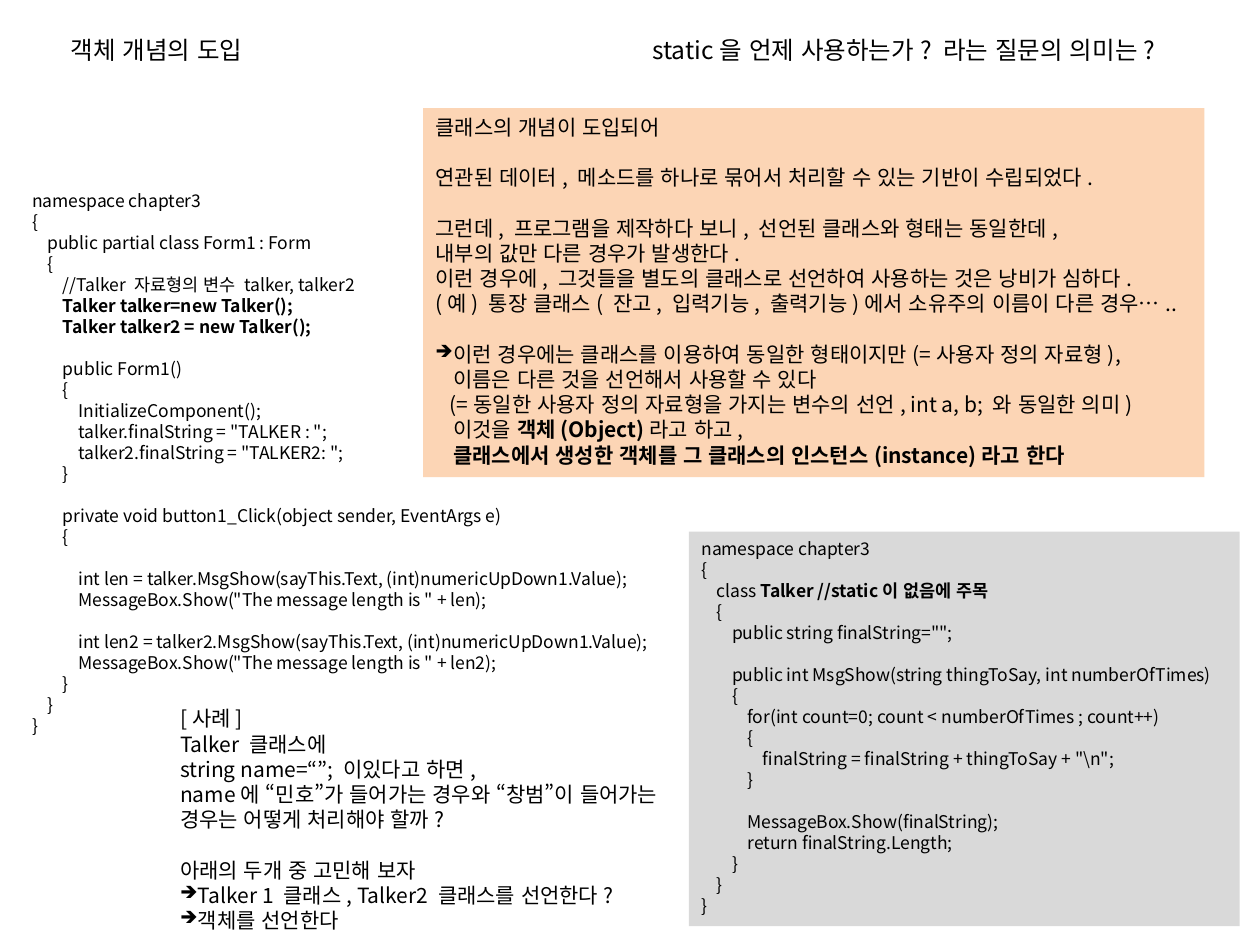
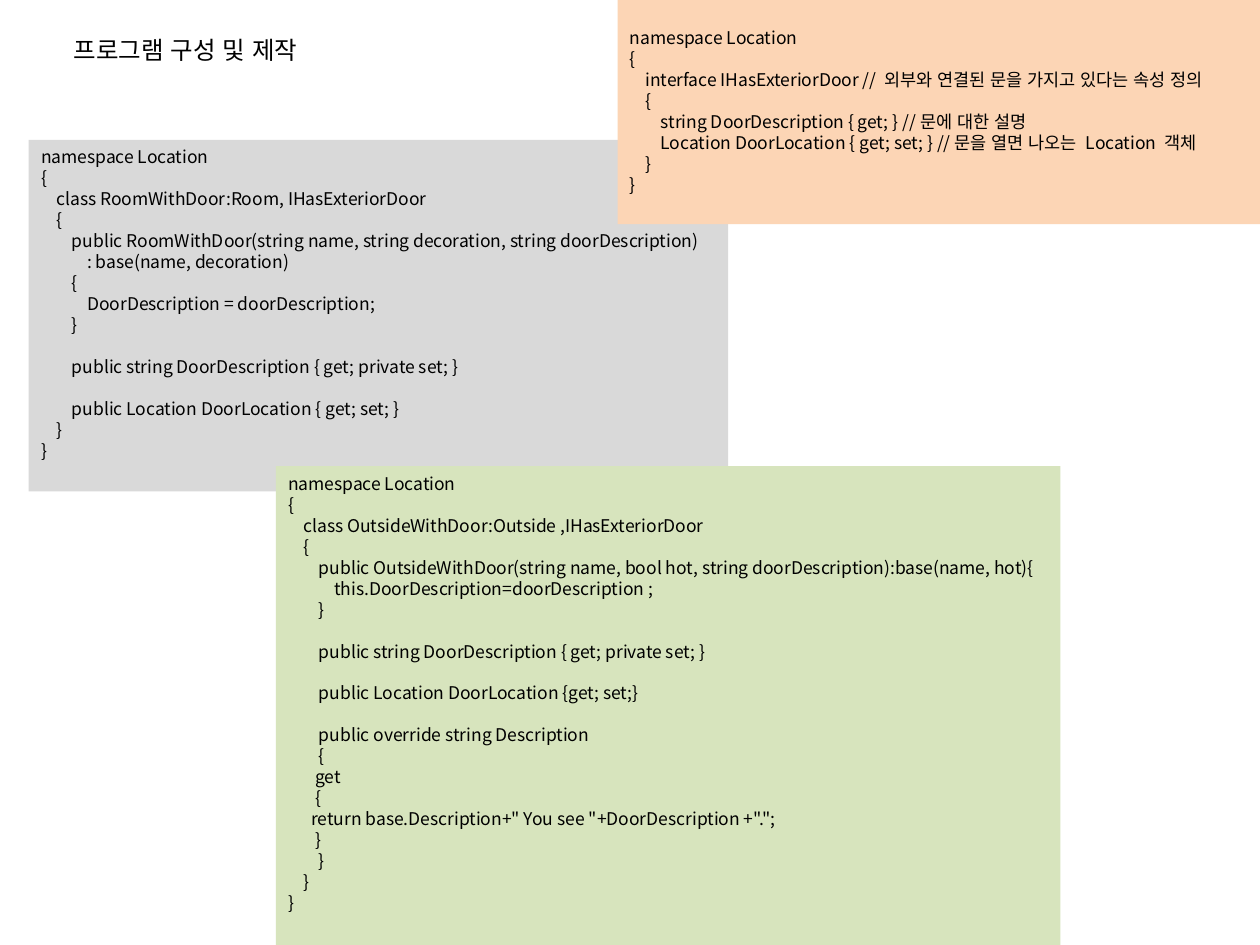
import pptx
import pptx.dml.color
import pptx.enum.lang
import pptx.enum.shapes
import pptx.enum.text
import pptx.oxml.ns
import pptx.util
from lxml import etree

Cm = pptx.util.Cm
Pt = pptx.util.Pt
RGBColor = pptx.dml.color.RGBColor
ALIGN = pptx.enum.text.PP_ALIGN

BLACK = RGBColor(0x00, 0x00, 0x00)
PEACH = RGBColor(0xFC, 0xD5, 0xB5)
GRAY = RGBColor(0xD9, 0xD9, 0xD9)
GREEN = RGBColor(0xD7, 0xE4, 0xBD)

FONT = "Noto Sans CJK KR"
KOREAN = pptx.enum.lang.MSO_LANGUAGE_ID.KOREAN
LINE_FACTOR = 1.2
BULLET = "➔"
BULLET_PERCENT = 80
BOLD = "**"
GAP = None

STYLES = {
    "title": {"size": 14, "step": 0, "align": ALIGN.CENTER, "right": 0.25},
    "question": {"size": 14, "step": 0, "align": ALIGN.LEFT, "right": 0},
    "prose": {"size": 12, "step": 0.36, "align": ALIGN.LEFT, "right": 0},
    "code": {"size": 10, "step": 0.31, "align": ALIGN.LEFT, "right": 0},
}

FRAME_FORMAT = {
    "word_wrap": True,
    "auto_size": pptx.enum.text.MSO_AUTO_SIZE.NONE,
    "vertical_anchor": pptx.enum.text.MSO_ANCHOR.TOP,
    "margin_left": Cm(0.25),
    "margin_top": Cm(0.13),
    "margin_bottom": Cm(0.13),
}

OBJECT_EXPLANATION = [
    (0, "클래스의 개념이 도입되어"),
    GAP,
    (0, "연관된 데이터, 메소드를 하나로 묶어서 처리할 수 있는 기반이 수립되었다."),
    GAP,
    (0, "그런데, 프로그램을 제작하다 보니, 선언된 클래스와 형태는 동일한데,"),
    (0, "내부의 값만 다른 경우가 발생한다."),
    (0, "이런 경우에, 그것들을 별도의 클래스로 선언하여 사용하는 것은 낭비가 심하다."),
    (0, "(예) 통장 클래스( 잔고, 입력기능, 출력기능)에서 소유주의 이름이 다른 경우….."),
    GAP,
    (1, "➔이런 경우에는 클래스를 이용하여 동일한 형태이지만(=사용자 정의 자료형),"),
    (1, "이름은 다른 것을 선언해서 사용할 수 있다"),
    (0.8, "(=동일한 사용자 정의 자료형을 가지는 변수의 선언, int a, b; 와 동일한 의미)"),
    (1, "이것을** 객체(Object)**라고 하고,"),
    (1, "**클래스에서 생성한 객체를 그 클래스의 인스턴스(instance)라고 한다**"),
]

FORM_CODE = [
    (0, "namespace chapter3"),
    (0, "{"),
    (1, "public partial class Form1 : Form"),
    (1, "{"),
    (2, "//Talker 자료형의 변수 talker, talker2"),
    (2, "**Talker talker=new Talker();**"),
    (2, "**Talker talker2 = new Talker();**"),
    GAP,
    (2, "public Form1()"),
    (2, "{"),
    (3, "InitializeComponent();"),
    (3, 'talker.finalString = "TALKER : ";'),
    (3, 'talker2.finalString = "TALKER2: ";'),
    (2, "}"),
    GAP,
    (2, "private void button1_Click(object sender, EventArgs e)"),
    (2, "{"),
    GAP,
    (3, "int len = talker.MsgShow(sayThis.Text, (int)numericUpDown1.Value);"),
    (3, 'MessageBox.Show("The message length is " + len);'),
    GAP,
    (3, "int len2 = talker2.MsgShow(sayThis.Text, (int)numericUpDown1.Value);"),
    (3, 'MessageBox.Show("The message length is " + len2);'),
    (2, "}"),
    (1, "}"),
    (0, "}"),
]

TALKER_CODE = [
    (0, "namespace chapter3"),
    (0, "{"),
    (1, "class **Talker //static이 없음에 주목**"),
    (1, "{"),
    (2, 'public string finalString="";'),
    GAP,
    (2, "public int MsgShow(string thingToSay, int numberOfTimes)"),
    (2, "{"),
    (3, "for(int count=0; count < numberOfTimes ; count++)"),
    (3, "{"),
    (4, 'finalString = finalString + thingToSay + "\\n";'),
    (3, "}"),
    GAP,
    (3, "MessageBox.Show(finalString);"),
    (3, "return finalString.Length;"),
    (2, "}"),
    (1, "}"),
    (0, "}"),
]

NAME_CASE = [
    (0, "[사례]"),
    (0, "Talker 클래스에"),
    (0, "string name=“”; 이있다고 하면,"),
    (0, "name에 “민호”가 들어가는 경우와 “창범”이 들어가는"),
    (0, "경우는 어떻게 처리해야 할까?"),
    GAP,
    (0, "아래의 두개 중 고민해 보자"),
    (1, "➔Talker 1 클래스, Talker2 클래스를 선언한다?"),
    (1, "➔객체를 선언한다"),
]

ROOM_CODE = [
    (0, "namespace Location"),
    (0, "{"),
    (1, "class RoomWithDoor:Room, IHasExteriorDoor"),
    (1, "{"),
    (2, "public RoomWithDoor(string name, string decoration, string doorDescription)"),
    (3, ": base(name, decoration)"),
    (2, "{"),
    (3, "DoorDescription = doorDescription;"),
    (2, "}"),
    GAP,
    (2, "public string DoorDescription { get; private set; }"),
    GAP,
    (2, "public Location DoorLocation { get; set; }"),
    (1, "}"),
    (0, "}"),
]

INTERFACE_CODE = [
    GAP,
    (0, "namespace Location"),
    (0, "{"),
    (1, "interface IHasExteriorDoor // 외부와 연결된 문을 가지고 있다는 속성 정의"),
    (1, "{"),
    (2, "string DoorDescription { get; } //문에 대한 설명"),
    (2, "Location DoorLocation { get; set; } //문을 열면 나오는 Location 객체"),
    (1, "}"),
    (0, "}"),
]

OUTSIDE_CODE = [
    (0, "namespace Location"),
    (0, "{"),
    (1, "class OutsideWithDoor:Outside ,IHasExteriorDoor"),
    (1, "{"),
    (2, "public OutsideWithDoor(string name, bool hot, string doorDescription):base(name, hot){"),
    (3, "this.DoorDescription=doorDescription ;"),
    (2, "}"),
    GAP,
    (2, "public string DoorDescription { get; private set; }"),
    GAP,
    (2, "public Location DoorLocation {get; set;}"),
    GAP,
    (2, "public override string Description"),
    (2, "{"),
    (1.75, "get"),
    (1.75, "{"),
    (1.5, 'return base.Description+" You see "+DoorDescription +".";'),
    (1.75, "}"),
    (2, "}"),
    (1, "}"),
    (0, "}"),
]

SLIDES = [
    [
        ("title", None, (0.99, 0.58, 4.34, 0.86), [(0, "객체 개념의 도입")]),
        ("prose", PEACH, (8.53, 2.18, 15.75, 7.44), OBJECT_EXPLANATION),
        ("code", None, (0.4, 3.71, 14.3, 11.38), FORM_CODE),
        ("code", GRAY, (13.89, 10.72, 11.1, 7.95), TALKER_CODE),
        ("prose", None, (3.38, 14.1, 10.82, 4.88), NAME_CASE),
        ("question", None, (12.9, 0.58, 11.0, 0.86),
         [(0, "static을 언제 사용하는가? 라는 질문의 의미는?")]),
    ],
    [
        ("code", GRAY, (0.58, 2.82, 14.1, 7.09), ROOM_CODE),
        ("title", None, (0.99, 0.58, 5.51, 0.86), [(0, "프로그램 구성 및 제작")]),
        ("code", PEACH, (12.45, 0, 12.95, 4.52), INTERFACE_CODE),
        ("code", GREEN, (5.56, 9.4, 15.82, 9.65), OUTSIDE_CODE),
    ],
]


def set_attributes(target, values):
    for name, value in values.items():
        setattr(target, name, value)


def add_child(parent, tag, name, value):
    etree.SubElement(parent, pptx.oxml.ns.qn(tag)).set(name, value)


def add_runs(paragraph, text, size):
    for index, part in enumerate(text.split(BOLD)):
        if not part:
            continue
        run = paragraph.add_run()
        run.text = part
        set_attributes(run.font, {
            "name": FONT,
            "size": Pt(size),
            "bold": index % 2 == 1,
            "language_id": KOREAN,
        })
        run.font.color.rgb = BLACK
        add_child(run.font._element, "a:ea", "typeface", FONT)


def set_indent(paragraph, indent, bulleted):
    properties = paragraph._p.get_or_add_pPr()
    properties.set("marL", str(Cm(indent)))
    properties.set("indent", str(-Cm(indent) if bulleted else 0))
    if bulleted:
        add_child(properties, "a:buSzPct", "val", str(BULLET_PERCENT * 1000))
        add_child(properties, "a:buChar", "char", BULLET)


def fill_frame(frame, style, lines):
    set_attributes(frame, FRAME_FORMAT)
    frame.margin_right = Cm(style["right"])
    line_height = Pt(style["size"] * LINE_FACTOR)
    paragraph = None
    gap = 0
    for line in lines:
        if line is GAP:
            gap += line_height
            continue
        level, text = line
        if paragraph is None:
            paragraph = frame.paragraphs[0]
            frame.margin_top += gap
            gap = 0
        else:
            paragraph = frame.add_paragraph()
        set_attributes(paragraph, {
            "alignment": style["align"],
            "line_spacing": line_height,
            "space_before": Pt(gap / Pt(1)),
            "space_after": Pt(0),
        })
        set_indent(paragraph, level * style["step"], text.startswith(BULLET))
        add_runs(paragraph, text.removeprefix(BULLET), style["size"])
        gap = 0


def add_block(slide, style_name, color, box, lines):
    place = [Cm(length) for length in box]
    if color is None:
        shape = slide.shapes.add_textbox(*place)
    else:
        shape = slide.shapes.add_shape(pptx.enum.shapes.MSO_SHAPE.RECTANGLE, *place)
        shape.shadow.inherit = False
        shape.fill.solid()
        shape.fill.fore_color.rgb = color
        shape.line.fill.background()
    fill_frame(shape.text_frame, STYLES[style_name], lines)


def main():
    presentation = pptx.Presentation()
    set_attributes(presentation, {"slide_width": Cm(25.4), "slide_height": Cm(19.05)})
    for blocks in SLIDES:
        slide = presentation.slides.add_slide(presentation.slide_layouts[6])
        for block in blocks:
            add_block(slide, *block)
    presentation.save("out.pptx")


if __name__ == "__main__":
    main()
